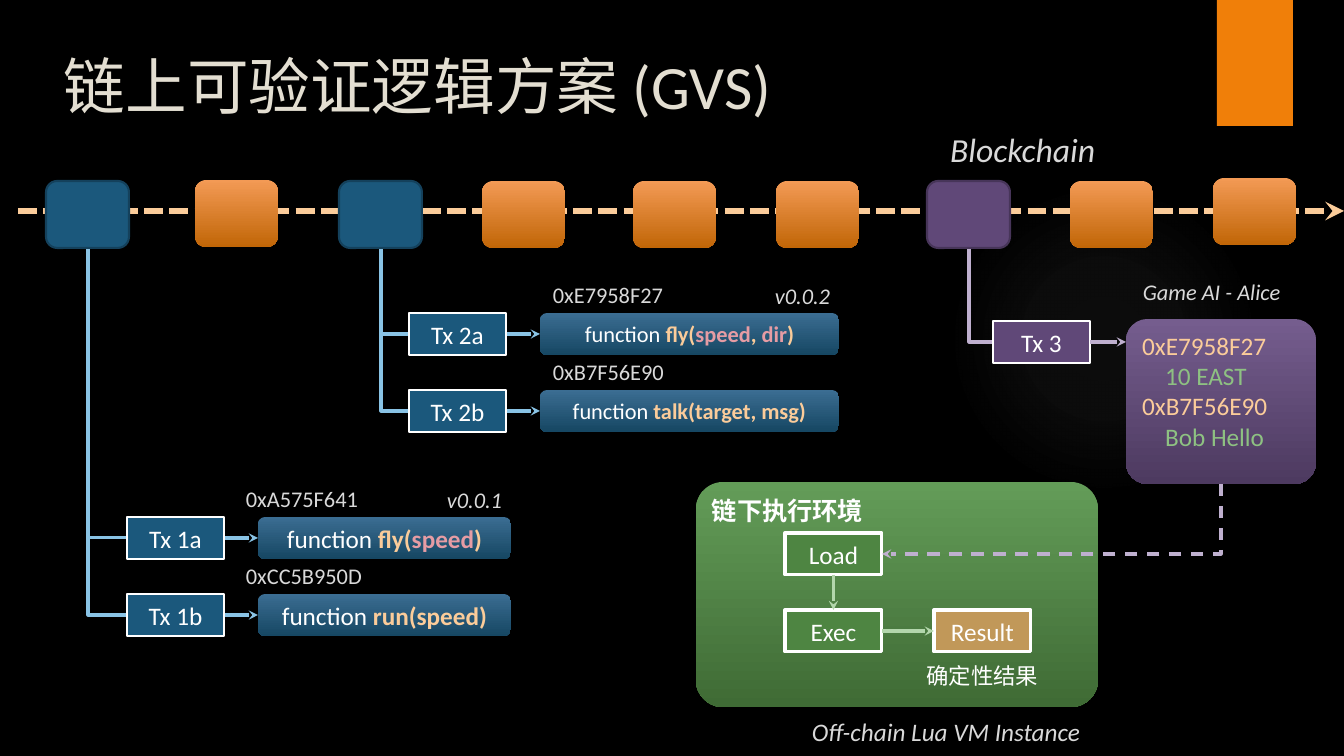
from pptx import Presentation
from pptx.dml.color import RGBColor
from pptx.enum.dml import MSO_LINE
from pptx.enum.shapes import MSO_CONNECTOR, MSO_SHAPE
from pptx.enum.text import MSO_ANCHOR, PP_ALIGN
from pptx.oxml import parse_xml
from pptx.oxml.ns import nsdecls, qn
from pptx.util import Pt
from lxml.etree import SubElement

PX = 914400 / 100.8
FONT = "Calibri"
TX_W, TX_H, ROW, GAP = 97, 42, 77, 34
BLOCK_W, BLOCK_H = 83, 67
C = {
    "black": "000000", "white": "FFFFFF", "title": "E3DED1", "label": "D9D9D9",
    "accent": "F07F09", "glow": "ADADAD", "chain": "FBCC9A", "param": "E69CA4",
    "blue": "1B587C", "blue_edge": "14415C", "blue_line": "89C3E5",
    "purple": "604878", "purple_edge": "473559", "purple_line": "BFB0CF",
    "green": "4E8542", "green_line": "B3D6AC", "green_text": "8EC182", "tan": "C19859",
}
ORANGE_GRAD = ("F39A55", "C16607")
BLUE_GRAD = ("3B6D92", "164763")
PURPLE_GRAD = ("755D8E", "4D3A60")
GREEN_GRAD = ("639C58", "3F6B35")


def rgb(name):
    return RGBColor.from_string(C.get(name, name))


def emu(*lengths):
    return [round(v * PX) for v in lengths]


def write(sp, lines, size, align=PP_ALIGN.LEFT, anchor=MSO_ANCHOR.TOP,
          italic=False, spacing=None):
    tf = sp.text_frame
    tf.word_wrap = True
    tf.vertical_anchor = anchor
    for i, runs in enumerate(lines):
        p = tf.add_paragraph() if i else tf.paragraphs[0]
        p.alignment = align
        p.font.name, p.font.size, p.font.italic = FONT, Pt(size), italic
        if spacing:
            p.line_spacing = spacing
        for text, color, bold in runs:
            r = p.add_run()
            r.text = text
            r.font.bold = bold
            r.font.color.rgb = rgb(color)


def label(s, box, text, size=16, color="label", bold=False, **style):
    sp = s.shapes.add_textbox(*emu(*box))
    write(sp, [[(text, color, bold)]], size, **style)


def shape(s, kind, box, fill, edge=None, width=1, adj=None):
    sp = s.shapes.add_shape(kind, *emu(*box))
    sp.shadow.inherit = False
    if isinstance(fill, tuple):
        sp.fill.gradient()
        sp.fill.gradient_angle = 270
        for stop, color in zip(sp.fill.gradient_stops, fill):
            stop.color.rgb = rgb(color)
    else:
        sp.fill.solid()
        sp.fill.fore_color.rgb = rgb(fill)
    if edge:
        sp.line.color.rgb = rgb(edge)
        sp.line.width = Pt(width)
    else:
        sp.line.fill.background()
    if adj:
        sp.adjustments[0] = adj
    return sp


def node(s, x, y, text, fill, width=1):
    sp = shape(s, MSO_SHAPE.RECTANGLE, (x, y, TX_W, TX_H), fill, "white", width)
    write(sp, [[(text, "white", False)]], 18, PP_ALIGN.CENTER, MSO_ANCHOR.MIDDLE)


def line(s, start, end, color, width=2.25, dash=None, arrow=True,
         kind=MSO_CONNECTOR.STRAIGHT):
    cn = s.shapes.add_connector(kind, *emu(*start, *end))
    cn.line.color.rgb = rgb(color)
    cn.line.width = Pt(width)
    if dash:
        cn.line.dash_style = dash
    if arrow:
        SubElement(cn.line._get_or_add_ln(), qn("a:tailEnd"), type="stealth")
    SubElement(cn._element.spPr, qn("a:effectLst"))
    return cn


def elbow(s, start, end, color, **style):
    (x1, y1), (x2, y2) = start, end
    cx, cy = (x1 + x2) / 2, (y1 + y2) / 2
    dx, dy = (x2 - x1) / 2, (y2 - y1) / 2
    side = 1 if dx > 0 else -1
    cn = line(s, (cx + side * dy, cy - abs(dx)), (cx - side * dy, cy + abs(dx)),
              color, kind=MSO_CONNECTOR.ELBOW, **style)
    spPr = cn._element.spPr
    spPr.find(qn("a:prstGeom")).set("prst", "bentConnector2")
    spPr.find(qn("a:xfrm")).set("rot", "16200000" if side > 0 else "5400000")


def backdrop(s, w):
    s.background.fill.solid()
    s.background.fill.fore_color.rgb = rgb("black")
    sp = shape(s, MSO_SHAPE.OVAL, (949, 184, 310, 310), "glow")
    stops = "".join(
        f'<a:gs pos="{pos}"><a:srgbClr val="{C["glow"]}"><a:alpha val="{alpha}"/></a:srgbClr></a:gs>'
        for pos, alpha in ((0, 7000), (36000, 6000), (69000, 0)))
    grad = parse_xml(
        f'<a:gradFill {nsdecls("a")}><a:gsLst>{stops}</a:gsLst><a:path path="circle">'
        '<a:fillToRect l="50000" t="50000" r="50000" b="50000"/></a:path></a:gradFill>')
    spPr = sp._element.spPr
    spPr.replace(spPr.find(qn("a:solidFill")), grad)
    shape(s, MSO_SHAPE.RECTANGLE, (w - 127, 0, 76, 126), "accent")
    label(s, (54, 43, 1037, 154), "链上可验证逻辑方案 (GVS)", 44, "title")


def blockchain(s, x, y, w):
    mid = y + 31
    line(s, (x, mid), (x + w, mid), "chain", 4.5, MSO_LINE.SQUARE_DOT).line.dash_style = MSO_LINE.SQUARE_DOT
    for dx, dy in ((177, 0), (464, 1), (615, 1), (758, 1), (1052, 1), (1195, -2)):
        shape(s, MSO_SHAPE.ROUNDED_RECTANGLE, (x + dx, y + dy, BLOCK_W, BLOCK_H), ORANGE_GRAD)
    for dx, color in ((28, "blue"), (321, "blue"), (909, "purple")):
        shape(s, MSO_SHAPE.ROUNDED_RECTANGLE, (x + dx, y + 1, BLOCK_W, BLOCK_H),
              color, color + "_edge", 1.5)
    label(s, (x + 921, y - 56, 166, 50), "Blockchain", 24, align=PP_ALIGN.RIGHT, italic=True)


def transactions(s, x, y, trunk, fn_w, size, hash_dx, version, calls):
    fn_x = x + TX_W + GAP
    for i, (name, address, runs) in enumerate(calls):
        top = y + i * ROW
        mid = top + TX_H / 2
        elbow(s, trunk, (x, mid), "blue_line", arrow=False)
        line(s, (x + TX_W, mid), (fn_x, mid), "blue_line")
        node(s, x, top, name, "blue")
        sp = shape(s, MSO_SHAPE.ROUNDED_RECTANGLE, (fn_x, top, fn_w, TX_H), BLUE_GRAD)
        write(sp, [[("function ", "white", False)] + [(t, c, True) for t, c in runs]],
              size, PP_ALIGN.CENTER, MSO_ANCHOR.MIDDLE)
        label(s, (fn_x + hash_dx, top - 37, 149, 37), address)
    label(s, (fn_x + fn_w - 84, y - 36, 85, 37), version, align=PP_ALIGN.RIGHT, italic=True)


def game_ai(s, x, y, trunk):
    mid = y + TX_H / 2
    card_x = x + TX_W + 36
    elbow(s, trunk, (x, mid), "purple_line", arrow=False)
    node(s, x, y, "Tx 3", "purple")
    sp = shape(s, MSO_SHAPE.ROUNDED_RECTANGLE, (card_x, y - 2, 190, 165), PURPLE_GRAD, adj=0.13)
    rows = (("0xE7958F27", "chain"), ("10 EAST", "green_text"),
            ("0xB7F56E90", "chain"), ("Bob Hello", "green_text"))
    write(sp, [[(text, color, False)] for text, color in rows], 18)
    for p in sp.text_frame.paragraphs[1::2]:
        p._p.get_or_add_pPr().set("marL", str(emu(23)[0]))
    line(s, (x + TX_W, mid), (card_x, mid), "purple_line")
    label(s, (card_x + 7, y - 48, 173, 37), "Game AI - Alice", italic=True)


def off_chain_vm(s, x, y, w, h, source):
    load_x, load_y = x + 89, y + 51
    exec_y, result_x = load_y + ROW, load_x + 149
    mid_x, mid_y = load_x + TX_W / 2, exec_y + TX_H / 2
    shape(s, MSO_SHAPE.ROUNDED_RECTANGLE, (x, y, w, h), GREEN_GRAD, adj=0.12)
    label(s, (x + 6, y - 7, 371, 51), "链下执行环境", 18, "white", True, spacing=1.5)
    node(s, load_x, load_y, "Load", "green", 2.25)
    node(s, load_x, exec_y, "Exec", "green", 2.25)
    node(s, result_x, exec_y, "Result", "tan", 2.25)
    line(s, (mid_x, load_y + TX_H), (mid_x, exec_y), "green_line")
    line(s, (load_x + TX_W, mid_y), (result_x, mid_y), "green_line")
    label(s, (result_x - 19, exec_y + 47, 135, 37), "确定性结果", 16, "white",
          align=PP_ALIGN.CENTER)
    label(s, (x + 106, y + h + 4, 304, 40), "Off-chain Lua VM Instance", 18, italic=True)
    elbow(s, source, (load_x + TX_W, load_y + TX_H / 2), "purple_line", dash=MSO_LINE.DASH)


def main():
    prs = Presentation()
    prs.slide_width, prs.slide_height = emu(1344, 756)
    s = prs.slides.add_slide(prs.slide_layouts[6])
    backdrop(s, 1344)
    transactions(s, 127, 517, (88, 249), 253, 18, -22, "v0.0.1", [
        ("Tx 1a", "0xA575F641", [("fly(", "chain"), ("speed", "param"), (")", "chain")]),
        ("Tx 1b", "0xCC5B950D", [("run(speed)", "chain")])])
    transactions(s, 409, 313, (381, 249), 299, 16, 3, "v0.0.2", [
        ("Tx 2a", "0xE7958F27", [("fly(", "chain"), ("speed", "param"), (", ", "chain"),
                                 ("dir", "param"), (")", "chain")]),
        ("Tx 2b", "0xB7F56E90", [("talk(target, msg)", "chain")])])
    blockchain(s, 18, 180, 1326)
    game_ai(s, 993, 321, (969, 249))
    off_chain_vm(s, 696, 482, 402, 225, (1221, 484))
    prs.save("out.pptx")


if __name__ == "__main__":
    main()
